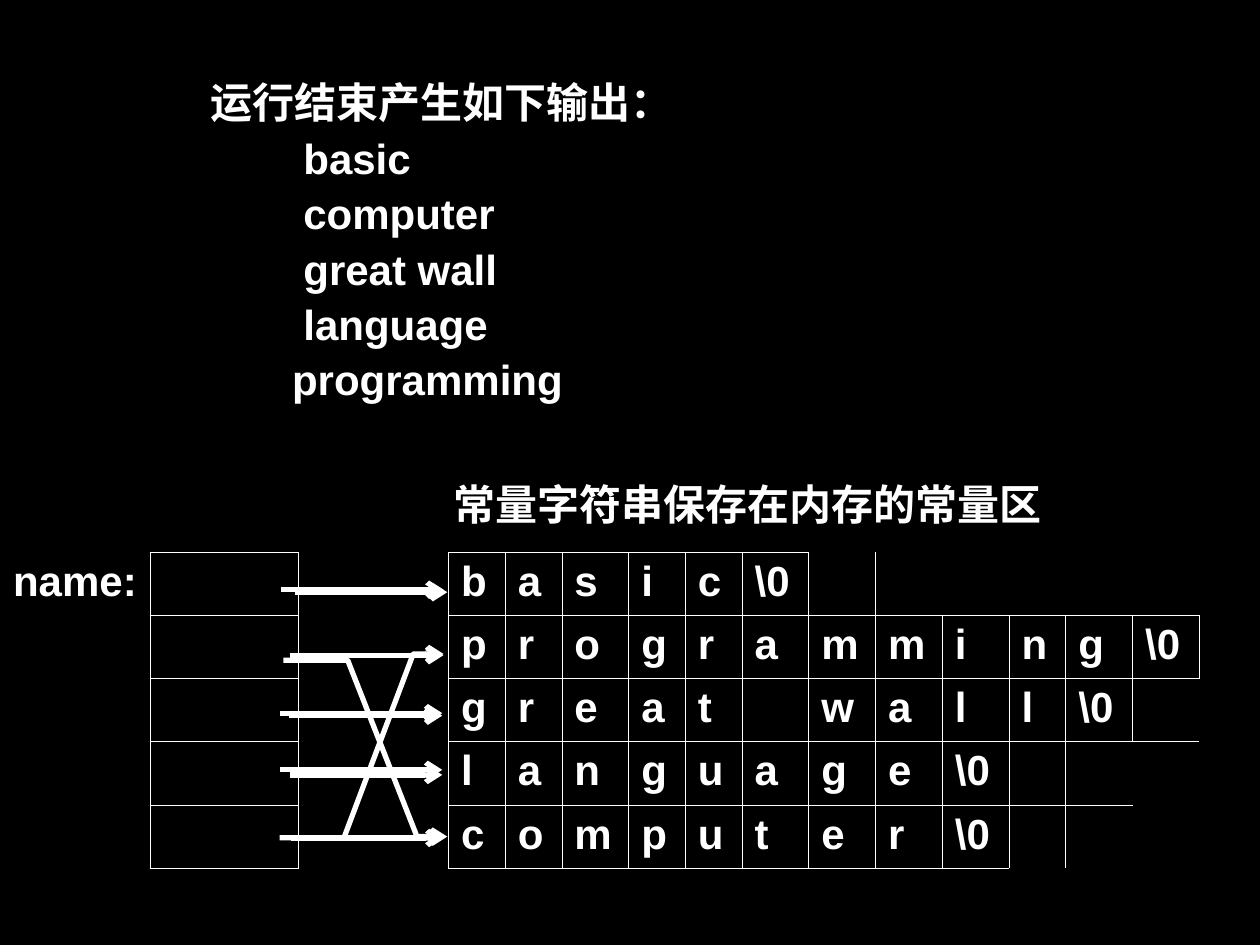
import pptx
import pptx.util
import pptx.dml.color
import pptx.enum.shapes
import pptx.enum.text
import pptx.oxml.ns
import lxml.etree

Inches = pptx.util.Inches
WHITE = pptx.dml.color.RGBColor(255, 255, 255)
BLACK = pptx.dml.color.RGBColor(0, 0, 0)
PLAIN = "{2D5ABB26-0587-4C30-8999-92F81FD0307C}"
WIDE, HIGH = 10, 7.5

OUTPUT = [
    ("运行结束产生如下输出：", 1.57),
    ("basic", 2.31),
    ("computer", 2.31),
    ("great wall", 2.31),
    ("language", 2.31),
    ("programming", 2.22),
]
CAPTION = "常量字符串保存在内存的常量区"
LABEL = "name:"
WORDS = ["basic", "programming", "great wall", "language", "computer"]
COLS = [1.19, 1.18, 1.19] + [
    {"n": 0.45, "w": 0.53}[c] for c in "nnwnnwwwwnww"]
TOP, ROW = 4.38, 0.502
ARROWS = [
    [(2.34, 4.7), (3.55, 4.7)],
    [(2.3, 5.2), (3.52, 5.2)],
    [(2.29, 5.68), (3.51, 5.68)],
    [(2.3, 6.15), (3.51, 6.15)],
    [(2.31, 6.65), (3.52, 6.65)],
    [(2.23, 4.68), (3.52, 4.68)],
    [(2.25, 5.24), (2.76, 5.24), (3.31, 6.64), (3.55, 6.64)],
    [(2.22, 5.66), (3.51, 5.66)],
    [(2.22, 6.11), (3.51, 6.11)],
    [(2.22, 6.65), (2.73, 6.65), (3.28, 5.19), (3.52, 5.19)],
]
SIDES = {"L": (0, -1), "R": (0, 1), "T": (-1, 0), "B": (1, 0)}


def add_node(parent, tag, **attrs):
    name = pptx.oxml.ns.qn("a:" + tag)
    return lxml.etree.SubElement(parent, name, **attrs)


def style(para):
    for run in para.runs:
        run.font.size = pptx.util.Pt(24)
        run.font.name = "Arial"
        run.font.bold = True
        run.font.color.rgb = WHITE


def add_edge(cell, side):
    props = cell._tc.get_or_add_tcPr()
    edge = add_node(props, "ln" + side, w=str(pptx.util.Pt(0.45)))
    fill = add_node(edge, "solidFill")
    add_node(fill, "srgbClr", val=str(WHITE))


def add_table(slide):
    frame = slide.shapes.add_table(
        len(WORDS), len(COLS), 0, Inches(TOP),
        Inches(sum(COLS)), Inches(ROW * len(WORDS)))
    table = frame.table
    frame._element.find(".//" + pptx.oxml.ns.qn("a:tableStyleId")).text = PLAIN
    table.first_row = table.horz_banding = False
    for col, width in zip(table.columns, COLS):
        col.width = Inches(width)
    texts = {(0, 0): LABEL}
    boxed = set()
    for r, word in enumerate(WORDS):
        table.rows[r].height = Inches(ROW)
        boxed.add((r, 1))
        for c, char in enumerate(list(word) + ["\\0"], 3):
            texts[r, c] = char.strip()
            boxed.add((r, c))
    for r in range(len(WORDS)):
        for c in range(len(COLS)):
            cell = table.cell(r, c)
            for side, (down, right) in SIDES.items():
                if boxed & {(r, c), (r + down, c + right)}:
                    add_edge(cell, side)
            cell.fill.background()
            cell.text_frame.text = texts.get((r, c), "")
            style(cell.text_frame.paragraphs[0])
    head = table.cell(0, 0).text_frame.paragraphs[0]
    head.alignment = pptx.enum.text.PP_ALIGN.CENTER


def add_arrow(slide, points):
    spots = [(Inches(x), Inches(y)) for x, y in points]
    if len(spots) == 2:
        arrow = slide.shapes.add_connector(
            pptx.enum.shapes.MSO_CONNECTOR.STRAIGHT, *spots[0], *spots[1])
    else:
        pen = slide.shapes.build_freeform(*spots[0])
        pen.add_line_segments(spots[1:], close=False)
        arrow = pen.convert_to_shape()
        arrow.fill.background()
    arrow.line.color.rgb = WHITE
    arrow.line.width = pptx.util.Pt(3)
    add_node(arrow.line._get_or_add_ln(), "tailEnd", type="arrow")
    add_node(arrow._element.spPr, "effectLst")


def add_output(slide):
    box = slide.shapes.add_shape(
        pptx.enum.shapes.MSO_SHAPE.RECTANGLE,
        0, Inches(0.52), Inches(WIDE), Inches(2.74))
    box.shadow.inherit = False
    box.fill.solid()
    box.fill.fore_color.rgb = BLACK
    box.line.fill.background()
    frame = box.text_frame
    frame.vertical_anchor = pptx.enum.text.MSO_ANCHOR.MIDDLE
    frame.text = "\n".join(text for text, left in OUTPUT)
    for para, (text, left) in zip(frame.paragraphs, OUTPUT):
        para.alignment = pptx.enum.text.PP_ALIGN.LEFT
        para.line_spacing = 1.1
        para._p.get_or_add_pPr().set("marL", str(Inches(left)))
        style(para)


def add_caption(slide):
    box = slide.shapes.add_textbox(
        Inches(3.5), Inches(3.75), Inches(5.51), Inches(0.5))
    box.text_frame.word_wrap = True
    box.text_frame.text = CAPTION
    style(box.text_frame.paragraphs[0])


def main():
    deck = pptx.Presentation()
    deck.slide_width, deck.slide_height = Inches(WIDE), Inches(HIGH)
    slide = deck.slides.add_slide(deck.slide_layouts[6])
    slide.background.fill.solid()
    slide.background.fill.fore_color.rgb = BLACK
    add_table(slide)
    for points in ARROWS:
        add_arrow(slide, points)
    add_output(slide)
    add_caption(slide)
    deck.save("out.pptx")


if __name__ == "__main__":
    main()
